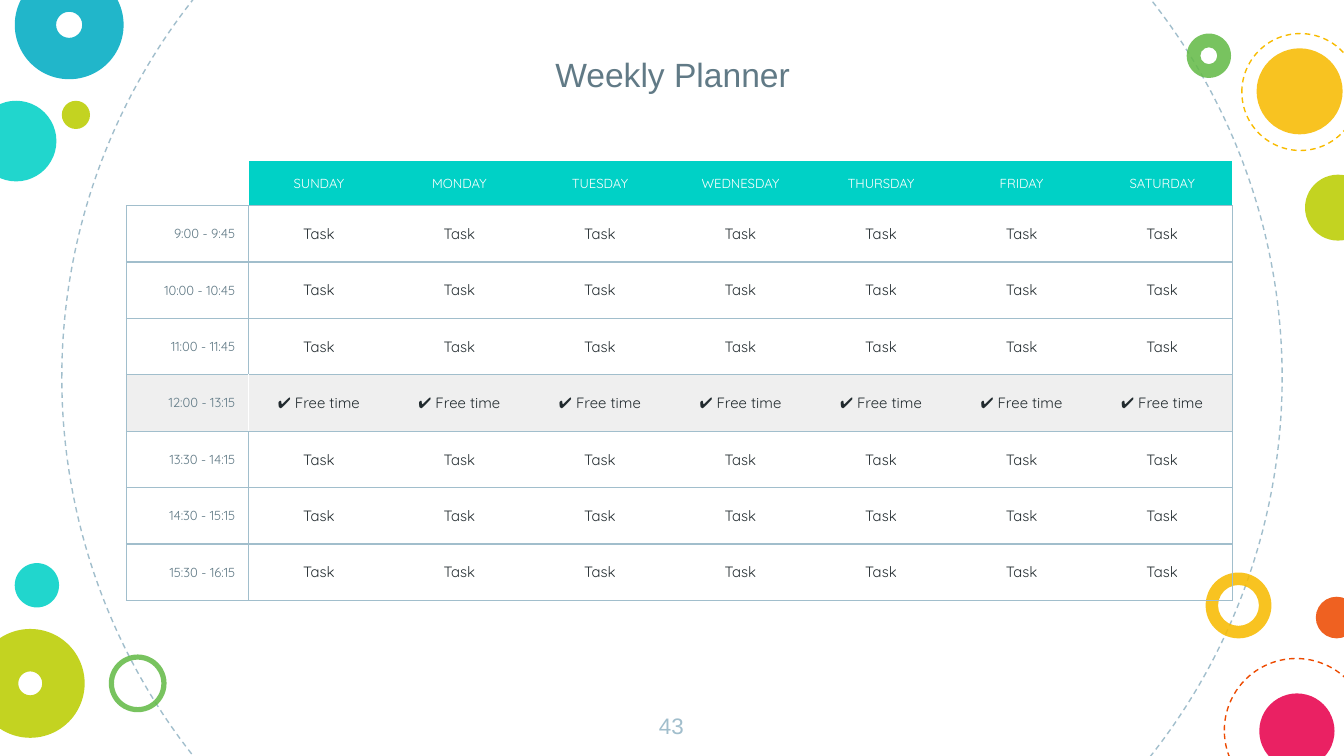
from lxml import etree
from pptx import Presentation
from pptx.dml.color import RGBColor
from pptx.enum.dml import MSO_LINE
from pptx.enum.shapes import MSO_SHAPE
from pptx.enum.text import MSO_ANCHOR, PP_ALIGN
from pptx.oxml.ns import qn
from pptx.util import Inches, Pt

OVAL, DONUT = MSO_SHAPE.OVAL, MSO_SHAPE.DONUT
CENTER, RIGHT = PP_ALIGN.CENTER, PP_ALIGN.RIGHT
TOP, MIDDLE, BOTTOM = MSO_ANCHOR.TOP, MSO_ANCHOR.MIDDLE, MSO_ANCHOR.BOTTOM
DASH = MSO_LINE.DASH

COLORS = {
    "mist": "A1BECC", "slate": "617A86", "ink": "212A2E", "white": "FFFFFF",
    "gray": "EFEFEF", "turquoise": "00D1C6", "blue": "00ACC3", "lime": "BBCD00",
    "green": "65BB48", "yellow": "F8BB00", "orange": "ED4A00", "pink": "E8004C",
}


def style_paragraph(paragraph, text, size, font, color, alignment=CENTER):
    paragraph.text = text
    paragraph.alignment = alignment
    paragraph.font.size = Pt(size)
    paragraph.font.name = font
    paragraph.font.color.rgb = RGBColor.from_string(COLORS[color])


def set_border(cell, side, color):
    line = etree.SubElement(cell._tc.get_or_add_tcPr(), qn(f"a:ln{side}"), w=str(Pt(0.75)))
    if color is None:
        etree.SubElement(line, qn("a:noFill"))
    else:
        fill = etree.SubElement(line, qn("a:solidFill"))
        etree.SubElement(fill, qn("a:srgbClr"), val=COLORS[color])


# Widescreen 16:9 slide
presentation = Presentation()
presentation.slide_width = Inches(10)
presentation.slide_height = Inches(10) * 9 // 16
slide = presentation.slides.add_slide(presentation.slide_layouts[6])

# Decorative circles: left, top, diameter, colour, style
# (a number is the ring thickness of a donut)
circles = [
    (0.46, -1.73, 9.08, "mist", "dashed"),
    (-0.18, 0.75, 0.6, "turquoise", "solid"),
    (8.97, 4.26, 0.49, "yellow", 0.19),
    (0.11, -0.22, 0.81, "blue", 0.38),
    (0.46, 0.75, 0.21, "lime", "solid"),
    (9.11, 4.9, 1.07, "orange", "dashed"),
    (0.81, 4.87, 0.43, "green", 0.09),
    (9.79, 4.44, 0.31, "orange", "solid"),
    (-0.18, 4.68, 0.81, "lime", 0.39),
    (9.37, 5.16, 0.56, "pink", "solid"),
    (8.83, 0.25, 0.33, "green", 0.31),
    (9.35, 0.36, 0.64, "yellow", "solid"),
    (9.71, 1.3, 0.49, "lime", "solid"),
    (9.24, 0.25, 0.87, "yellow", "dashed"),
    (0.11, 4.19, 0.33, "turquoise", "solid"),
]
for left, top, diameter, color, style in circles:
    is_ring = isinstance(style, float)
    shape = slide.shapes.add_shape(
        DONUT if is_ring else OVAL,
        Inches(left), Inches(top), Inches(diameter), Inches(diameter))
    shape.shadow.inherit = False
    if is_ring:
        shape.adjustments[0] = style
    if style == "dashed":
        shape.fill.background()
        shape.line.color.rgb = RGBColor.from_string(COLORS[color])
        shape.line.width = Pt(0.75)
        shape.line.dash_style = DASH
    else:
        shape.line.fill.background()
        shape.fill.solid()
        shape.fill.fore_color.rgb = RGBColor.from_string(COLORS[color])
        fill_color = shape._element.spPr.find(".//" + qn("a:srgbClr"))
        etree.SubElement(fill_color, qn("a:alpha"), val="87000")

# Title and page number
texts = [
    ("Weekly Planner", 2.12, 0.1, 5.77, 0.7, BOTTOM, 18, "slate"),
    ("43", 4.74, 5.2, 0.51, 0.43, TOP, 12, "mist"),
]
for text, left, top, width, height, anchor, size, color in texts:
    box = slide.shapes.add_textbox(Inches(left), Inches(top), Inches(width), Inches(height))
    frame = box.text_frame
    frame.word_wrap = True
    frame.vertical_anchor = anchor
    frame.margin_left = frame.margin_right = Inches(0.1)
    frame.margin_top = frame.margin_bottom = Inches(0.1)
    style_paragraph(frame.paragraphs[0], text, size, "Arial", color)

# Planner contents
days = ["SUNDAY", "MONDAY", "TUESDAY", "WEDNESDAY", "THURSDAY", "FRIDAY", "SATURDAY"]
times = ["9:00 - 9:45", "10:00 - 10:45", "11:00 - 11:45", "12:00 - 13:15",
         "13:30 - 14:15", "14:30 - 15:15", "15:30 - 16:15"]
FREE_ROW = 4
rows = [[""] + days]
for row_index, time in enumerate(times, start=1):
    task = "✔ Free time" if row_index == FREE_ROW else "Task"
    rows.append([time] + [task] * len(days))

# Planner table
time_width, days_width = Inches(0.91), Inches(7.32)
table = slide.shapes.add_table(
    len(rows), len(rows[0]), Inches(0.94), Inches(1.2),
    time_width + days_width, Inches(3.2)).table
table.first_row = False
table.horz_banding = False
for index, column in enumerate(table.columns):
    column.width = time_width if index == 0 else days_width // len(days)
for index, row in enumerate(table.rows):
    row.height = Inches(0.33 if index == 0 else 0.42)

for row_index, row in enumerate(rows):
    is_header, is_free = row_index == 0, row_index == FREE_ROW
    for column_index, text in enumerate(row):
        cell = table.cell(row_index, column_index)
        cell.vertical_anchor = MIDDLE
        cell.margin_left = cell.margin_right = Inches(0.1)
        cell.margin_top = cell.margin_bottom = Inches(0.1)
        paragraph = cell.text_frame.paragraphs[0]
        if not text:
            etree.SubElement(paragraph._p, qn("a:endParaRPr"), sz="700")
        elif is_header:
            style_paragraph(paragraph, text, 7, "Quicksand", "white")
        elif column_index == 0:
            style_paragraph(paragraph, text, 7, "Quicksand", "slate", RIGHT)
        else:
            style_paragraph(paragraph, text, 8, "Quicksand", "ink")

        # Borders: rules between rows, sides only around times and the table
        divider = "white" if is_free else "mist"
        left_color = {0: "mist", 1: divider}.get(column_index)
        right_color = {0: divider, len(days): "mist"}.get(column_index)
        set_border(cell, "L", None if is_header else left_color)
        set_border(cell, "R", None if is_header else right_color)
        set_border(cell, "T", None if is_header else "mist")
        set_border(cell, "B", "mist")

        if is_free or (is_header and text):
            cell.fill.solid()
            cell.fill.fore_color.rgb = RGBColor.from_string(
                COLORS["gray" if is_free else "turquoise"])
        else:
            cell.fill.background()

presentation.save("out.pptx")
